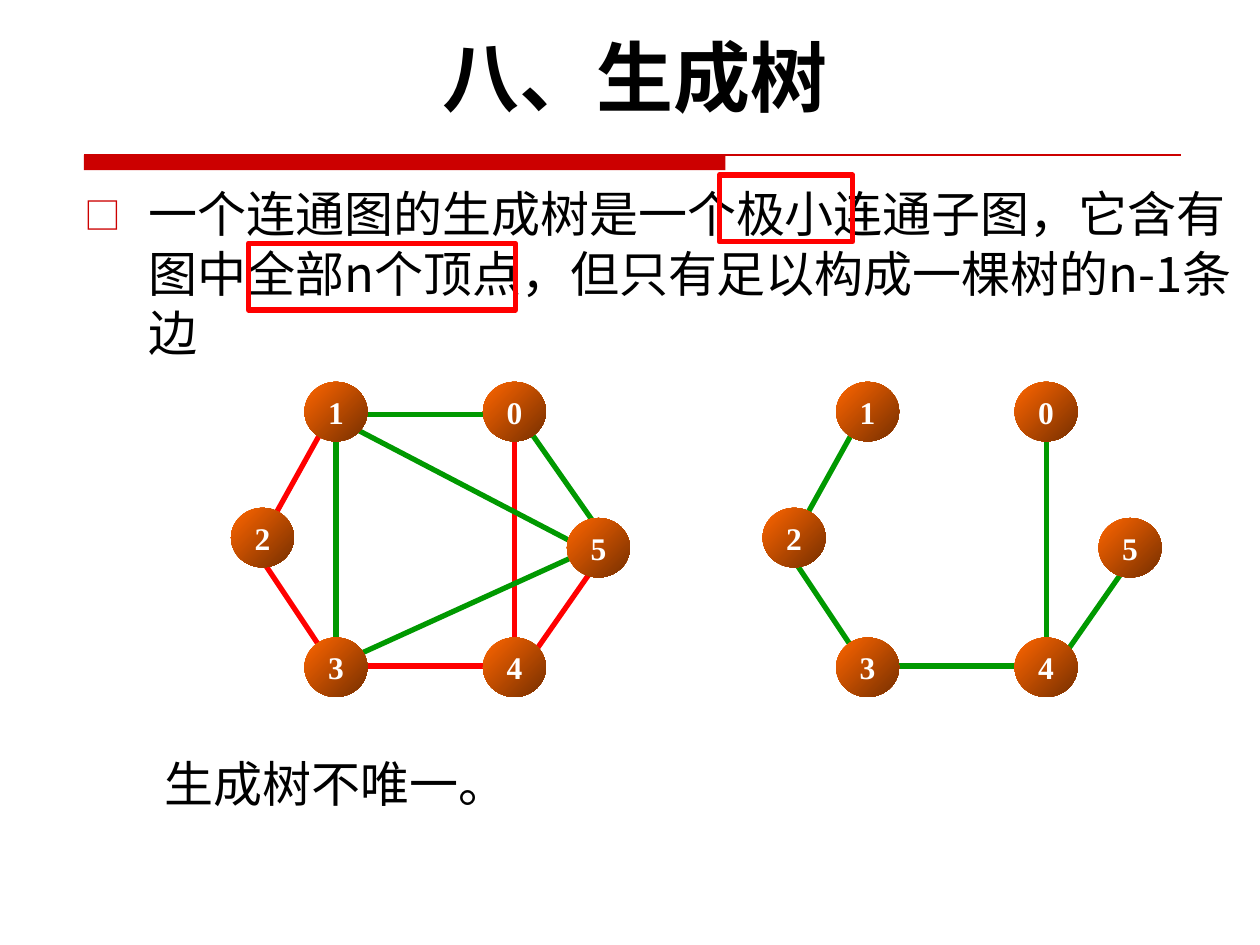
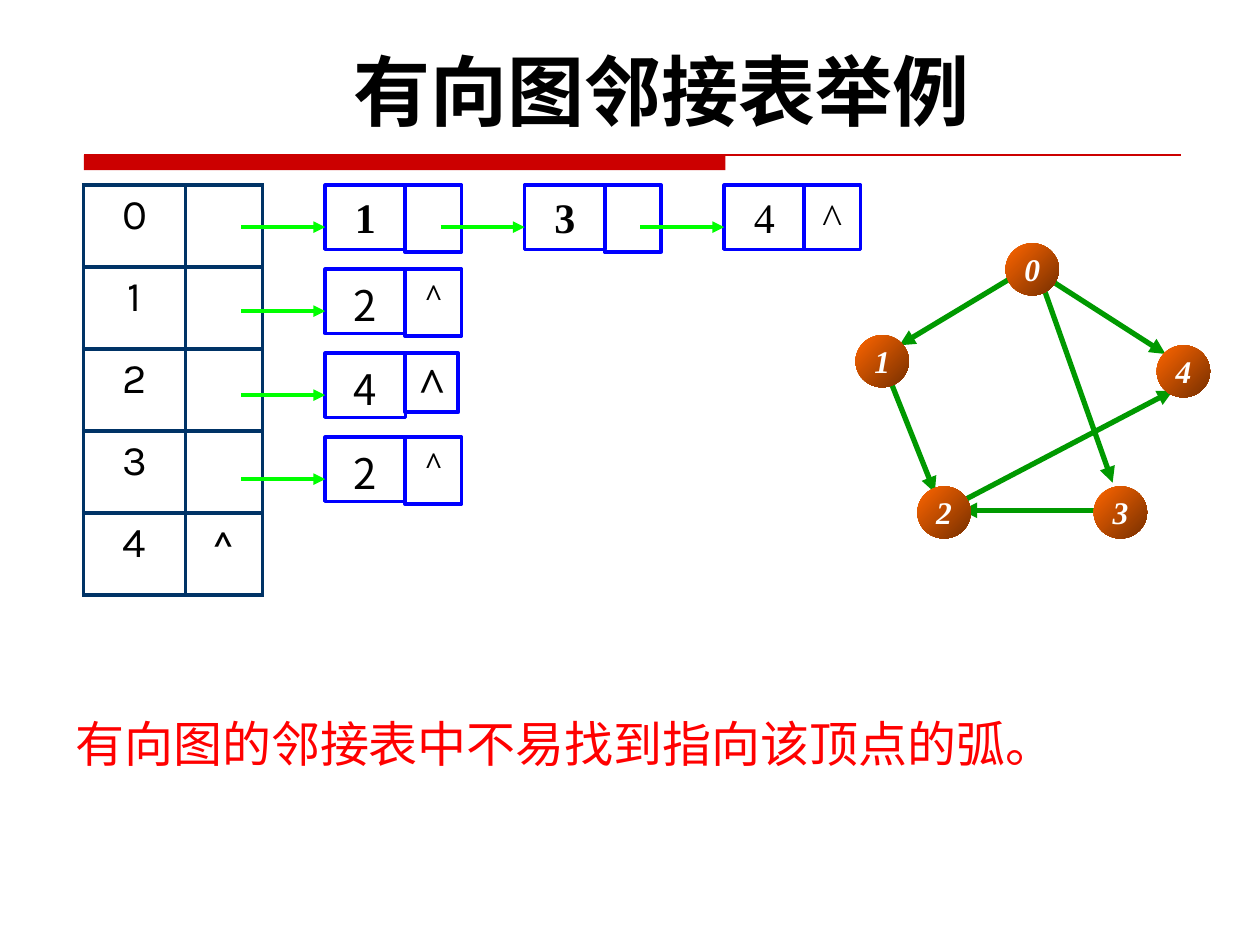
from lxml import etree
from pptx import Presentation
from pptx.dml.color import RGBColor
from pptx.enum import shapes, text
from pptx.oxml import ns
from pptx.util import Pt

BLACK = RGBColor(0x00, 0x00, 0x00)
WHITE = RGBColor(0xFF, 0xFF, 0xFF)
CRIMSON = RGBColor(0xCC, 0x00, 0x00)
RED = RGBColor(0xFF, 0x00, 0x00)
GREEN = RGBColor(0x00, 0x99, 0x00)
LIME = RGBColor(0x00, 0xFF, 0x00)
BLUE = RGBColor(0x00, 0x00, 0xFF)
NAVY = RGBColor(0x00, 0x33, 0x66)
ORANGE = RGBColor(0xFF, 0x66, 0x00)
BROWN = RGBColor(0x76, 0x2F, 0x00)

SANS = "Noto Sans CJK SC"
SERIF = "Times New Roman"
HEADING = "Karla"
LEADING = 1.215  # line height per point of sans text
NUDGE = 0.087    # drop of the first sans line per point

# Spanning tree slide: vertices (left, top) and edges (x1, y1, x2, y2)
TREE_VERTICES = {
    "1": (174, 218.2), "3": (174, 364.3), "2": (132, 290.2),
    "5": (324, 296), "4": (276, 364.3), "0": (276, 218.2),
}
TREE_EDGES = {
    "01": (282, 237, 210, 237), "04": (294, 248.4, 294, 368.4),
    "05": (300, 242.4, 342, 302.4), "12": (186, 242.4, 156, 296.4),
    "13": (192, 374.4, 192, 248.4), "15": (336, 314.4, 198, 242.4),
    "23": (186, 374.4, 150, 320.4), "34": (288, 380.6, 198, 380.6),
    "35": (336, 314.4, 204, 374.4), "45": (342, 320.4, 300, 380.6),
}
SPANNING = {"04", "12", "23", "34", "45"}

# Directed graph slide
DIGRAPH_VERTICES = {
    "1": (488.9, 191.5), "3": (625, 277.9), "2": (524.2, 277.9),
    "4": (661, 197.3), "0": (574.6, 139),
}
DIGRAPH_ARCS = {
    "04": (599.8, 159.8, 666, 202.3), "12": (509, 218.2, 534.2, 281.5),
    "01": (584.6, 154.8, 514, 197.3), "03": (594.7, 159.8, 635.8, 275.8),
    "32": (625, 291.6, 549.4, 291.6), "24": (549.4, 286.6, 670.3, 223.2),
}


def child(parent, tag, **attributes):
    return etree.SubElement(parent, ns.qn(tag), attributes)


def write(frame, content, size=28, font=SANS, color=BLACK, bold=False,
          italic=False, align=text.PP_ALIGN.LEFT, leading=None):
    """Put one formatted paragraph in a text frame and return it."""
    para = frame.paragraphs[0]
    para.alignment = align
    if leading:
        para.line_spacing = Pt(round(size * LEADING * leading, 1))
        frame.margin_top += Pt(size * NUDGE)
    span = para.add_run()
    span.text = content
    span.font.size = Pt(size)
    span.font.name = font
    span.font.bold = bold
    span.font.italic = italic
    span.font.color.rgb = color
    child(span._r.get_or_add_rPr(), "a:ea", typeface=SANS)
    return para


class Painter:
    def __init__(self):
        self.deck = Presentation()
        self.deck.slide_width, self.deck.slide_height = Pt(720), Pt(540)
        self.page = None

    def start(self):
        """Open a slide with the red band under its title."""
        self.page = self.deck.slides.add_slide(self.deck.slide_layouts[6])
        band = self.shape(shapes.MSO_SHAPE.RECTANGLE, 48, 88.5, 366.5, 8.8)
        band.fill.solid()
        band.fill.fore_color.rgb = CRIMSON
        self.line((48, 88.5, 674.6, 88.5), CRIMSON, 0.75)

    def title(self, content, left, top):
        self.label(content, left, top, 666, 60.5, size=44, font=HEADING,
                   bold=True, align=text.PP_ALIGN.CENTER)

    def label(self, content, left, top, width, height, leading=1, **style):
        box = self.page.shapes.add_textbox(Pt(left), Pt(top), Pt(width), Pt(height))
        box.text_frame.word_wrap = True
        return write(box.text_frame, content, leading=leading, **style)

    def bullet(self, content, left, top, width, height):
        para = self.label(content, left, top, width, height)
        props = para._p.get_or_add_pPr()
        props.set("marL", str(Pt(37)))
        props.set("indent", str(-Pt(37)))
        child(child(props, "a:buClr"), "a:srgbClr", val=str(CRIMSON))
        child(props, "a:buSzPct", val="75000")
        child(props, "a:buFont", typeface=SANS)
        child(props, "a:buChar", char="□")

    def shape(self, kind, left, top, width, height):
        shape = self.page.shapes.add_shape(kind, Pt(left), Pt(top), Pt(width), Pt(height))
        shape.shadow.inherit = False
        shape.line.fill.background()
        return shape

    def frame(self, left, top, width, height, color, weight):
        """Draw an unfilled rectangle."""
        box = self.shape(shapes.MSO_SHAPE.RECTANGLE, left, top, width, height)
        box.fill.background()
        box.line.color.rgb = color
        box.line.width = Pt(weight)
        box.text_frame.vertical_anchor = text.MSO_ANCHOR.TOP
        return box

    def line(self, ends, color, weight=3, arrow=False):
        line = self.page.shapes.add_connector(
            shapes.MSO_CONNECTOR.STRAIGHT, *[Pt(value) for value in ends])
        line.line.color.rgb = color
        line.line.width = Pt(weight)
        if arrow:
            child(line.line._get_or_add_ln(), "a:tailEnd", type="triangle")
        child(line._element.spPr, "a:effectLst")

    def vertex(self, name, left, top, width, height, italic=False):
        disc = self.shape(shapes.MSO_SHAPE.OVAL, left, top, width, height)
        disc.fill.gradient()
        disc.fill.gradient_angle = 315
        for stop, color, place in zip(disc.fill.gradient_stops, (ORANGE, BROWN), (0, 1)):
            stop.color.rgb = color
            stop.position = place
        words = disc.text_frame
        words.word_wrap = False
        words.margin_left = words.margin_right = 0
        words.vertical_anchor = text.MSO_ANCHOR.MIDDLE
        write(words, name, size=18, font=SERIF, color=WHITE, bold=True,
              italic=italic, align=text.PP_ALIGN.CENTER)

    def table(self, rows, left, top, widths, height):
        holder = self.page.shapes.add_table(
            len(rows), len(widths), Pt(left), Pt(top), Pt(sum(widths)), Pt(height * len(rows)))
        table = holder.table
        table.first_row = table.horz_banding = False
        for column, width in zip(table.columns, widths):
            column.width = Pt(width)
        for r, row in enumerate(rows):
            table.rows[r].height = Pt(height)
            for c, content in enumerate(row):
                cell = table.cell(r, c)
                props = cell._tc.get_or_add_tcPr()
                for side in "LRTB":
                    border = child(props, f"a:ln{side}", w=str(Pt(2.25)))
                    child(child(border, "a:solidFill"), "a:srgbClr", val=str(NAVY))
                cell.fill.background()
                if content:
                    write(cell.text_frame, content, size=24, font=HEADING,
                          align=text.PP_ALIGN.CENTER)

    def list_node(self, row, step, value, value_style, link="", link_style=None,
                  link_size=(32.4, 38.2), inset=True):
        """Draw one node of an adjacency list and the arrow that leads to it."""
        left, top = 185.8 + 114 * step, 105.8 + 48 * row
        box = self.frame(left, top, 46, 36.7, BLUE, 2)
        write(box.text_frame, value, size=24, align=text.PP_ALIGN.CENTER, **value_style)
        tail = self.frame(left + 45.6, top, *link_size, BLUE, 2)
        if not inset:
            words = tail.text_frame
            words.margin_left = words.margin_right = words.margin_top = words.margin_bottom = 0
        if link:
            write(tail.text_frame, link, font=SERIF, align=text.PP_ALIGN.CENTER, **link_style)
        self.line((left - 48, top + 24, left, top + 24), LIME, 2.25, arrow=True)


def spanning_tree(painter):
    painter.start()
    painter.bullet("一个连通图的生成树是一个极小连通子图，它含有图中全部n个顶点，"
                   "但只有足以构成一棵树的n-1条边", 41, 98.6, 689.8, 318)

    # Whole graph at the left, its spanning tree at the right
    for shift, whole in ((0, True), (303.8, False)):
        for name, (x1, y1, x2, y2) in TREE_EDGES.items():
            if whole or name in SPANNING:
                color = RED if whole and name in SPANNING else GREEN
                painter.line((x1 + shift, y1, x2 + shift, y2), color)
        for name, (left, top) in TREE_VERTICES.items():
            painter.vertex(name, left + shift, top, 36, 34)

    painter.title("八、生成树", 30, 8.6)
    painter.label("生成树不唯一。", 87, 424, 233, 41)

    # Frames around the key words
    painter.frame(142, 139, 152.6, 38.2, RED, 3)
    painter.frame(411, 100, 76.3, 38.2, RED, 3)


def adjacency_list(painter):
    painter.start()
    painter.table([("0", ""), ("1", ""), ("2", ""), ("3", ""), ("4", "^")],
                  47.7, 105.8, (58.3, 43.9), 46.85)

    # Directed graph
    for ends in DIGRAPH_ARCS.values():
        painter.line(ends, GREEN, arrow=True)
    for name, (left, top) in DIGRAPH_VERTICES.items():
        painter.vertex(name, left, top, 30.5, 29.8, italic=True)

    # Adjacency lists
    serif, strong = {"font": SERIF}, {"font": SERIF, "bold": True}
    sans = {"font": SANS, "leading": 1}
    slanted = {"size": 18, "bold": True, "italic": True}
    painter.list_node(0, 0, "1", strong)
    painter.list_node(0, 1, "3", strong)
    painter.list_node(0, 2, "4", serif, "^", {"size": 24}, (32.4, 36.7))
    painter.list_node(1, 0, "2", sans, "^", slanted)
    painter.list_node(2, 0, "4", sans, "^", {**slanted, "size": 28}, (30.5, 33.8), inset=False)
    painter.list_node(3, 0, "2", sans, "^", slanted)

    painter.label("有向图的邻接表中不易找到指向该顶点的弧。", 36, 391, 630, 45.4,
                  color=RED, leading=1.3)
    painter.title("有向图邻接表举例", 45, 16.6)


def main():
    painter = Painter()
    spanning_tree(painter)
    adjacency_list(painter)
    painter.deck.save("out.pptx")


if __name__ == "__main__":
    main()
